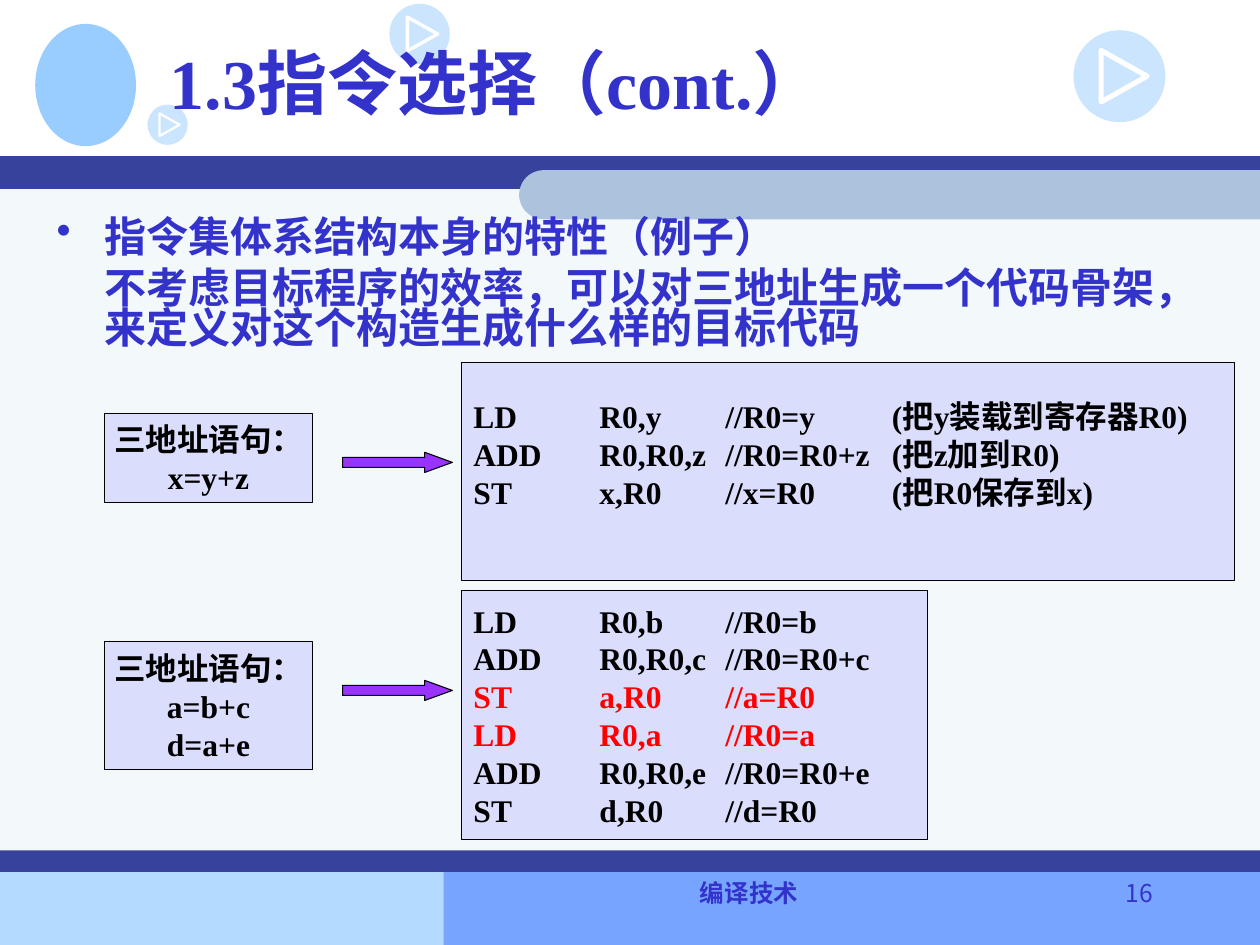
from lxml import etree
from pptx import Presentation
from pptx import util as u
from pptx.dml.color import RGBColor
from pptx.enum import shapes, text
from pptx.oxml.ns import qn

In = u.Inches
WHITE = RGBColor(0xFF, 0xFF, 0xFF)
BLACK = RGBColor(0x00, 0x00, 0x00)
RED = RGBColor(0xFF, 0x00, 0x00)
INK = RGBColor(0x33, 0x33, 0xCC)
NAVY = RGBColor(0x36, 0x42, 0x9B)
PALE = RGBColor(0xF3, 0xF8, 0xFB)
STEEL = RGBColor(0xAD, 0xC3, 0xDD)
SKY = RGBColor(0xB5, 0xDA, 0xFF)
BLUE = RGBColor(0x77, 0xA4, 0xFF)
LIGHT = RGBColor(0x99, 0xCC, 0xFF)
LILAC = RGBColor(0xCC, 0xCC, 0xFF)
PURPLE = RGBColor(0x99, 0x33, 0xFF)
SERIF, SANS = "Times New Roman", "Noto Sans CJK KR"
ST = shapes.MSO_SHAPE
AL = text.PP_ALIGN

prs = Presentation()
prs.slide_width, prs.slide_height = In(10), In(7.5)
s = prs.slides.add_slide(prs.slide_layouts[6])


def add_shape(kind, x, y, w, h, fill, alpha=None, line=None):
    sp = s.shapes.add_shape(kind, In(x), In(y), In(w), In(h))
    sp.shadow.inherit = False
    sp.fill.solid()
    sp.fill.fore_color.rgb = fill
    if alpha:
        clr = sp.fill._xPr.find(".//" + qn("a:srgbClr"))
        etree.SubElement(clr, qn("a:alpha")).set("val", str(alpha * 1000))
    if line is None:
        sp.line.fill.background()
    else:
        sp.line.color.rgb = line
        sp.line.width = u.Pt(0.62)
    return sp


def add_line(tf, i, words, size, color=INK, font=SERIF, bold=True, align=AL.LEFT):
    p = tf.paragraphs[0] if i == 0 else tf.add_paragraph()
    p.alignment = align
    r = p.add_run()
    r.text = words
    r.font.size, r.font.name, r.font.bold = u.Pt(size), font, bold
    r.font.color.rgb = color
    return p


# Background bands
for x, y, w, h, fill in [
    (0, 6.92, 4.25, 0.58, SKY),
    (3.52, 6.91, 6.48, 0.59, BLUE),
    (0, 1.4, 10, 5.51, PALE),
    (0, 1.24, 10, 0.26, NAVY),
    (0, 6.75, 10, 0.17, NAVY),
]:
    add_shape(ST.RECTANGLE, x, y, w, h, fill)

# Bar with a rounded left end, turned on its side
length, thick = 5.88, 0.39
bar = add_shape(ST.ROUND_2_SAME_RECTANGLE, 10 - (length + thick) / 2,
                1.35 - (length - thick) / 2, thick, length, STEEL)
bar.rotation = 270
bar.adjustments[0] = 0.5

# Plain emblem
add_shape(ST.OVAL, 0.28, 0.19, 0.8, 0.97, LIGHT)

# Play buttons
for x, y, d in [(3.09, 0.03, 0.48), (8.52, 0.24, 0.73), (1.17, 0.83, 0.32)]:
    add_shape(ST.OVAL, x, y, d, d, LIGHT, alpha=50)
    a, b, c = [(In(x + fx * d), In(y + fy * d))
               for fx, fy in [(0.3, 0.22), (0.8, 0.5), (0.3, 0.78)]]
    fb = s.shapes.build_freeform(*a)
    fb.add_line_segments([b, c], close=True)
    sp = fb.convert_to_shape()
    sp.shadow.inherit = False
    sp.fill.background()
    sp.line.color.rgb = WHITE
    sp.line.width = u.Pt(4 * d)

# Title, footer and page number
for x, y, w, h, words, size, font, bold, align, anchor in [
    (1.25, 0.06, 8.5, 1.17, "1.3指令选择（cont.）", 40, SERIF, True,
     AL.LEFT, text.MSO_ANCHOR.MIDDLE),
    (3.42, 6.92, 5.05, 0.5, "编译技术", 14, SANS, True,
     AL.CENTER, text.MSO_ANCHOR.TOP),
    (8.47, 6.92, 0.78, 0.5, "16", 14, SANS, False,
     AL.RIGHT, text.MSO_ANCHOR.TOP),
]:
    tf = s.shapes.add_textbox(In(x), In(y), In(w), In(h)).text_frame
    tf.word_wrap = True
    tf.vertical_anchor = anchor
    add_line(tf, 0, words, size, INK, font, bold, align)

# Body text: a bullet and its explanation
tf = s.shapes.add_textbox(In(0.35), In(1.7), In(9.45), In(1.18)).text_frame
tf.word_wrap = True
for i, words in enumerate([
    "指令集体系结构本身的特性（例子）",
    "不考虑目标程序的效率，可以对三地址生成一个代码骨架，来定义对这个构造生成什么样的目标代码",
]):
    p = add_line(tf, i, words, 24)
    p.line_spacing = 0.8
    pPr = p._p.get_or_add_pPr()
    pPr.set("marL", str(In(0.38)))
    if i == 0:
        pPr.set("indent", str(In(-0.38)))
        etree.SubElement(pPr, qn("a:buChar")).set("char", "•")
    else:
        p.space_before = u.Pt(6)

# Three-address statements
for y, h, lines in [
    (3.28, 0.71, ["三地址语句：", "x=y+z"]),
    (5.09, 1.02, ["三地址语句：", "a=b+c", "d=a+e"]),
]:
    tf = add_shape(ST.RECTANGLE, 0.83, y, 1.65, h, LILAC, 61, BLACK).text_frame
    tf.word_wrap = True
    tf.margin_left = tf.margin_right = 0
    for i, words in enumerate(lines):
        add_line(tf, i, words, 18, BLACK, align=AL.CENTER)

# Arrows from statement to code
for y in (3.59, 5.4):
    arrow = add_shape(ST.RIGHT_ARROW, 2.72, y, 0.87, 0.16, PURPLE, line=BLACK)
    arrow.adjustments[1] = 1.37

# Target code, in columns set by tab stops
for y, w, h, bottom, red, lines in [
    (2.88, 6.14, 1.73, 0.33, (), [
        "LD\tR0,y\t//R0=y\t(把y装载到寄存器R0)",
        "ADD\tR0,R0,z\t//R0=R0+z\t(把z加到R0)",
        "ST\tx,R0\t//x=R0\t(把R0保存到x)"]),
    (4.69, 3.7, 1.97, 0.05, (2, 3), [
        "LD\tR0,b\t//R0=b",
        "ADD\tR0,R0,c\t//R0=R0+c",
        "ST\ta,R0\t//a=R0",
        "LD\tR0,a\t//R0=a",
        "ADD\tR0,R0,e\t//R0=R0+e",
        "ST\td,R0\t//d=R0"]),
]:
    tf = add_shape(ST.RECTANGLE, 3.66, y, w, h, LILAC, 61, BLACK).text_frame
    tf.word_wrap = True
    tf.margin_right, tf.margin_bottom = 0, In(bottom)
    for i, words in enumerate(lines):
        p = add_line(tf, i, words, 18, RED if i in red else BLACK)
        tabs = etree.SubElement(p._p.get_or_add_pPr(), qn("a:tabLst"))
        for stop in (1, 2, 3.32):
            tab = etree.SubElement(tabs, qn("a:tab"))
            tab.set("pos", str(In(stop)))
            tab.set("algn", "l")

prs.save("out.pptx")
